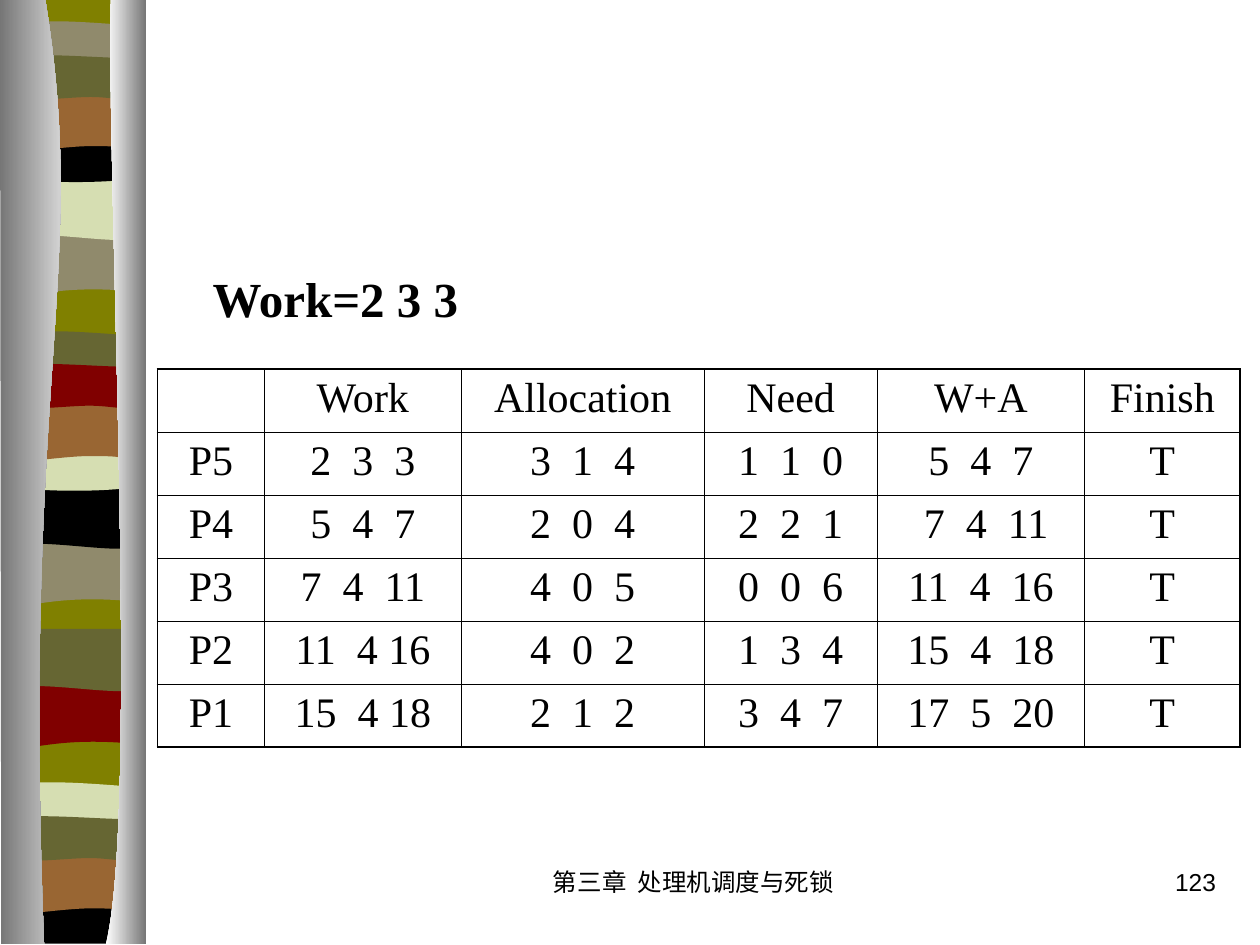
from pptx import Presentation
from pptx.dml.color import RGBColor as RGB
from pptx.enum.text import MSO_AUTO_SIZE as FIT, PP_ALIGN as AL
from pptx.oxml import parse_xml
from pptx.oxml.ns import nsdecls, qn
from pptx.util import Inches, Pt

THEME = {
    "ink": "000000", "olive": "808000", "stone": "908A6C", "cream": "D6DEB2",
    "brown": "996633", "moss": "666633", "wine": "800000",
    "dark": "767676", "light": "FFFFFF",
    "serif": "Times New Roman", "sans": "Arial",
    "head": 28, "cell": 24, "foot": 14, "outer": 1.08, "inner": 0.45,
}


def draw(nodes, left, top):
    """Draw a closed outline: pairs are line ends, sextets are Bezier curves."""
    spots, bends = [], []
    for node in nodes:
        if len(node) == 6:
            bends.append(len(spots) - 1)
        spots += [(Inches(left + x), Inches(top + y))
                  for x, y in zip(node[::2], node[1::2])]
    pen = slide.shapes.build_freeform(*spots[0], scale=1.0)
    pen.add_line_segments(spots[1:], close=True)
    form = pen.convert_to_shape()
    lines = list(form._element.iter(qn("a:lnTo")))
    for i in bends:
        for extra in lines[i + 1:i + 3]:
            lines[i].append(extra[0])
            extra.getparent().remove(extra)
        lines[i].tag = qn("a:cubicBezTo")
    form.shadow.inherit = False
    form.line.fill.background()
    return form


def write(frame, text, align, **font):
    para = frame.paragraphs[0]
    para.alignment = align
    run = para.add_run()
    run.text = text
    run.font.color.rgb = RGB.from_string(THEME["ink"])
    for key, value in font.items():
        setattr(run.font, key, value)


deck = Presentation()
deck.slide_width, deck.slide_height = Inches(10), Inches(7.5)
slide = deck.slides.add_slide(deck.slide_layouts[6])

# Striped ribbon: outlines measured from each band's top left corner
W = 1.08
BANDS = {
    "back": [(W, 0), (W, 7.47), (0, 7.47), (0, 0)],
    "wave": [(W, 0), (W, 0.47), (0.33, 0.39, 0.18, 0.55, 0, 0.47), (0, 0)],
    "slab": [(W, 0), (W, 0.47), (0.9, 0.55, 0.33, 0.41, 0, 0.47), (0, 0)],
    "strip": [(W, 0.05), (W, 0.29), (0.9, 0.33, 0.18, 0.33, 0, 0.29), (0, 0.05),
              (0.06, 0, 0.23, 0.01, 0.41, 0.01), (0.59, 0.01, 0.94, 0.04, W, 0.05)],
    "belt": [(W, 0), (W, 0.32), (0.9, 0.38, 0.18, 0.38, 0, 0.32), (0, 0),
             (0.66, 0.05, 0.85, 0, W, 0)],
    "arch": [(W, 0), (W, 0.47), (0.91, 0.42, 0.84, 0.42, 0.66, 0.42),
             (0.48, 0.42, 0.16, 0.47, 0, 0.47), (0, 0)],
    "sash": [(W, 0.05), (W, 0.36), (1.01, 0.41, 0.84, 0.36, 0.66, 0.36),
             (0.48, 0.36, 0.11, 0.41, 0, 0.36), (0, 0.05),
             (0.15, 0, 0.73, 0.05, 0.91, 0.05), (1.09, 0.05, 1.04, 0.05, W, 0.05)],
    "base": [(W, 0), (W, 0.37), (0, 0.37), (0, 0), (0.66, 0.05, 0.85, 0, W, 0)],
}
STACK = [
    ("back", 0.06, 0, "olive"),
    ("wave", 0.06, 1.85, "stone"), ("slab", 0.06, 1.41, "cream"),
    ("strip", 0.06, 0.16, "stone"), ("belt", 0.06, 1.08, "ink"),
    ("arch", 0.06, 0.74, "brown"), ("sash", 0.06, 0.41, "moss"),
    ("wave", 0.05, 4.31, "stone"), ("slab", 0.05, 3.86, "ink"),
    ("strip", 0.05, 2.62, "moss"), ("belt", 0.05, 3.53, "cream"),
    ("arch", 0.05, 3.2, "brown"), ("sash", 0.05, 2.86, "wine"),
    ("wave", 0.06, 5.44, "wine"), ("slab", 0.06, 4.99, "moss"),
    ("strip", 0.05, 6.2, "cream"), ("base", 0.05, 7.12, "ink"),
    ("arch", 0.05, 6.79, "brown"), ("sash", 0.05, 6.45, "moss"),
]
for name, left, top, color in STACK:
    band = draw(BANDS[name], left, top)
    band.fill.solid()
    band.fill.fore_color.rgb = RGB.from_string(THEME[color])

# Shaded pillars on either side of the ribbon
PILLARS = [
    ([(0.36, 0), (0.71, 2.16, 0.17, 2.96, 0.35, 7.49), (0.01, 7.49), (0, 0)],
     ("dark", "light")),
    ([(0.88, 0), (0.84, 1.25, 1.11, 6.46, 0.84, 7.49), (1.16, 7.49), (1.16, 0)],
     ("light", "dark")),
]
for nodes, tones in PILLARS:
    pillar = draw(nodes, 0, 0)
    pillar.fill.gradient()
    pillar.fill.gradient_angle = 0
    for stop, tone in zip(pillar.fill.gradient_stops, tones):
        stop.color.rgb = RGB.from_string(THEME[tone])

# Safety check table
ROWS = [
    ("", "Work", "Allocation", "Need", "W+A", "Finish"),
    ("P5", "2  3  3", "3  1  4", "1  1  0", "5  4  7", "T"),
    ("P4", "5  4  7", "2  0  4", "2  2  1", " 7  4  11", "T"),
    ("P3", "7  4  11", "4  0  5", "0  0  6", "11  4  16", "T"),
    ("P2", "11  4 16", "4  0  2", "1  3  4", "15  4  18", "T"),
    ("P1", "15  4 18", "2  1  2", "3  4  7", "17  5  20", "T"),
]
WIDTHS = [0.85, 1.56, 1.93, 1.37, 1.65, 1.23]
rows, cols = len(ROWS), len(WIDTHS)
grid = slide.shapes.add_table(rows, cols, Inches(1.25), Inches(2.93),
                              Inches(sum(WIDTHS)), Inches(0.5 * rows)).table
grid.first_row = grid.horz_banding = False
for col, width in zip(grid.columns, WIDTHS):
    col.width = Inches(width)
for r, row in enumerate(ROWS):
    for c, text in enumerate(row):
        cell = grid.cell(r, c)
        cell.fill.background()
        if text:
            write(cell.text_frame, text, AL.CENTER,
                  name=THEME["serif"], size=Pt(THEME["cell"]))
        edges = {"L": c == 0, "R": c == cols - 1, "T": r == 0, "B": r == rows - 1}
        for i, (side, rim) in enumerate(edges.items()):
            width = Pt(THEME["outer" if rim else "inner"])
            cell._tc.get_or_add_tcPr().insert(i, parse_xml(
                f'<a:ln{side} {nsdecls("a")} w="{width}"><a:solidFill>'
                f'<a:srgbClr val="{THEME["ink"]}"/></a:solidFill></a:ln{side}>'))

# Starting vector, footer and page number
NOTES = [
    ("Work=2 3 3", (1.59, 2.08, 2.17, 0.57), AL.LEFT, "serif", "head", True),
    ("第三章  处理机调度与死锁", (3.92, 6.83, 3.17, 0.5), AL.CENTER, "sans", "foot", False),
    ("123", (7.67, 6.83, 2.08, 0.5), AL.RIGHT, "sans", "foot", False),
]
for text, place, align, face, size, bold in NOTES:
    frame = slide.shapes.add_textbox(*map(Inches, place)).text_frame
    frame.word_wrap = not bold
    frame.auto_size = FIT.SHAPE_TO_FIT_TEXT if bold else FIT.NONE
    write(frame, text, align, name=THEME[face], size=Pt(THEME[size]), bold=bold)

deck.save("out.pptx")
